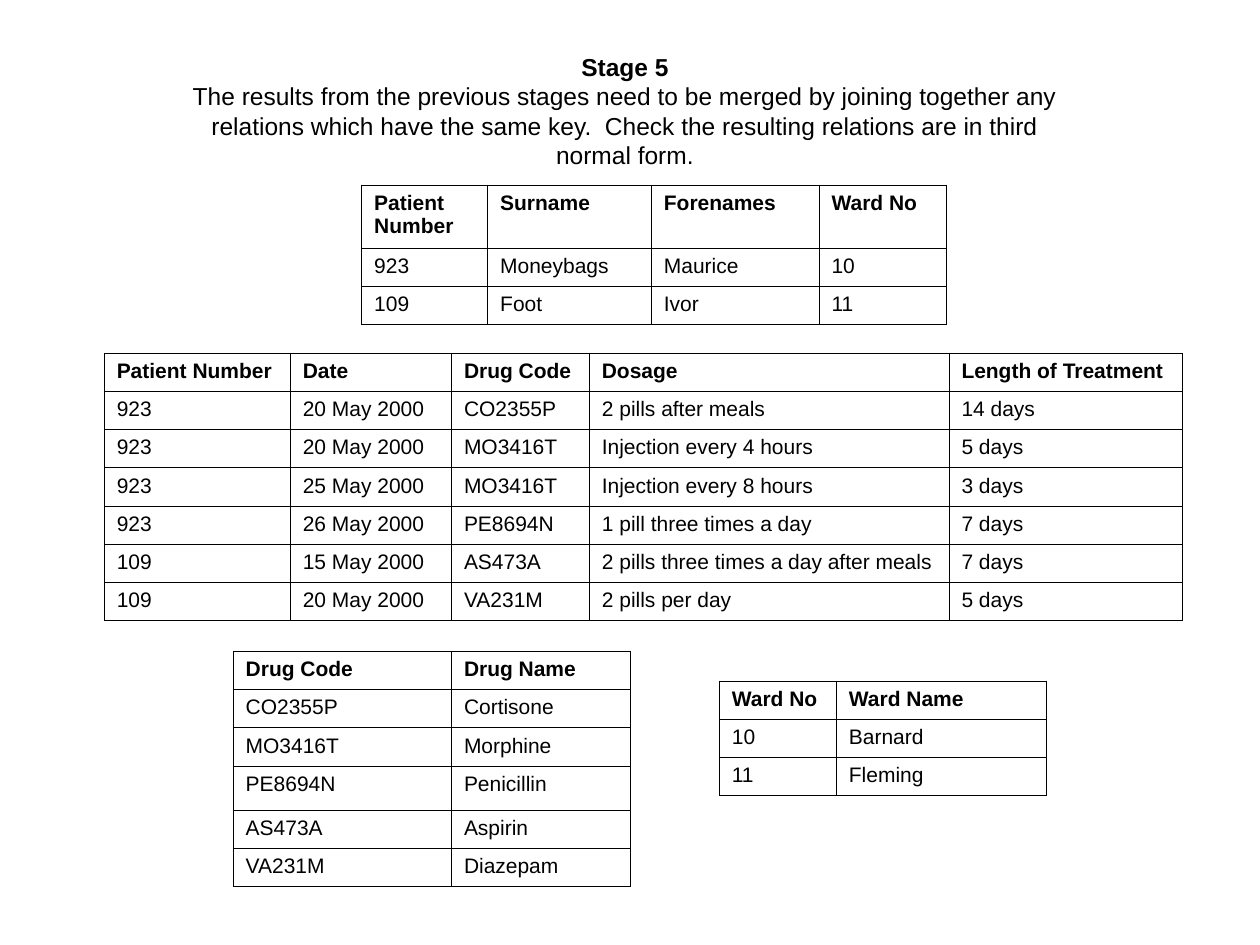
from lxml.etree import SubElement
from pptx import Presentation
from pptx.dml.color import RGBColor
from pptx.enum.text import MSO_ANCHOR, MSO_AUTO_SIZE, PP_ALIGN
from pptx.oxml.ns import qn
from pptx.util import Cm, Pt

BLACK = RGBColor(0x00, 0x00, 0x00)
FONT = "Arial"
BORDER_WIDTH = Pt(0.45)
ROW_HEIGHT = 0.77  # cm

HEADING = "Stage 5"
EXPLANATION = (
    "The results from the previous stages need to be merged by joining together any "
    "relations which have the same key.  Check the resulting relations are in third "
    "normal form."
)

PATIENTS = [
    ("Patient Number", "Surname", "Forenames", "Ward No"),
    ("923", "Moneybags", "Maurice", "10"),
    ("109", "Foot", "Ivor", "11"),
]
TREATMENTS = [
    ("Patient Number", "Date", "Drug Code", "Dosage", "Length of Treatment"),
    ("923", "20 May 2000", "CO2355P", "2 pills after meals", "14 days"),
    ("923", "20 May 2000", "MO3416T", "Injection every 4 hours", "5 days"),
    ("923", "25 May 2000", "MO3416T", "Injection every 8 hours", "3 days"),
    ("923", "26 May 2000", "PE8694N", "1 pill three times a day", "7 days"),
    ("109", "15 May 2000", "AS473A", "2 pills three times a day after meals", "7 days"),
    ("109", "20 May 2000", "VA231M", "2 pills per day", "5 days"),
]
WARDS = [
    ("Ward No", "Ward Name"),
    ("10", "Barnard"),
    ("11", "Fleming"),
]
DRUGS = [
    ("Drug Code", "Drug Name"),
    ("CO2355P", "Cortisone"),
    ("MO3416T", "Morphine"),
    ("PE8694N", "Penicillin"),
    ("AS473A", "Aspirin"),
    ("VA231M", "Diazepam"),
]


def format_paragraph(para, size, bold, align):
    para.alignment = align
    for span in para.runs:
        span.font.name = FONT
        span.font.size = Pt(size)
        span.font.bold = bold
        span.font.color.rgb = BLACK


def add_title(slide):
    box = slide.shapes.add_textbox(Cm(1.5), Cm(0.91), Cm(22.2), Cm(2.64))
    frame = box.text_frame
    frame.word_wrap = True
    frame.auto_size = MSO_AUTO_SIZE.SHAPE_TO_FIT_TEXT
    frame.vertical_anchor = MSO_ANCHOR.MIDDLE
    frame.margin_left = frame.margin_right = Cm(2.31)
    frame.text = f"{HEADING}\n{EXPLANATION}"
    for index, para in enumerate(frame.paragraphs):
        format_paragraph(para, 14, index == 0, PP_ALIGN.CENTER)


def add_borders(cell):
    properties = cell._tc.get_or_add_tcPr()
    for side in ("a:lnL", "a:lnR", "a:lnT", "a:lnB"):
        line = SubElement(properties, qn(side), w=str(int(BORDER_WIDTH)))
        fill = SubElement(line, qn("a:solidFill"))
        SubElement(fill, qn("a:srgbClr"), val=str(BLACK))


def add_relation(slide, left, top, widths, rows, special_heights=None):
    """Add a plain ruled table; special_heights maps a row index to its height in cm."""
    heights = [ROW_HEIGHT] * len(rows)
    for index, height in (special_heights or {}).items():
        heights[index] = height
    table = slide.shapes.add_table(
        len(rows), len(widths), Cm(left), Cm(top), Cm(sum(widths)), Cm(sum(heights))
    ).table
    table.first_row = table.horz_banding = False

    for column, width in zip(table.columns, widths):
        column.width = Cm(width)
    for row_index, (row, height, values) in enumerate(zip(table.rows, heights, rows)):
        row.height = Cm(height)
        for cell, value in zip(row.cells, values):
            cell.text_frame.text = value
            format_paragraph(
                cell.text_frame.paragraphs[0], 12, row_index == 0, PP_ALIGN.LEFT
            )
            add_borders(cell)
            cell.fill.background()


def main():
    deck = Presentation()
    deck.slide_width, deck.slide_height = Cm(25.4), Cm(19.05)
    slide = deck.slides.add_slide(deck.slide_layouts[6])

    # Heading and explanation
    add_title(slide)

    # Merged relations
    add_relation(slide, 7.29, 3.73, (2.54, 3.3, 3.38, 2.57), PATIENTS, {0: 1.27})
    add_relation(slide, 2.1, 7.12, (3.75, 3.25, 2.78, 7.25, 4.7), TREATMENTS)
    add_relation(slide, 14.5, 13.73, (2.36, 4.24), WARDS)
    add_relation(slide, 4.7, 13.13, (4.4, 3.6), DRUGS, {3: 0.89})

    deck.save("out.pptx")


if __name__ == "__main__":
    main()
